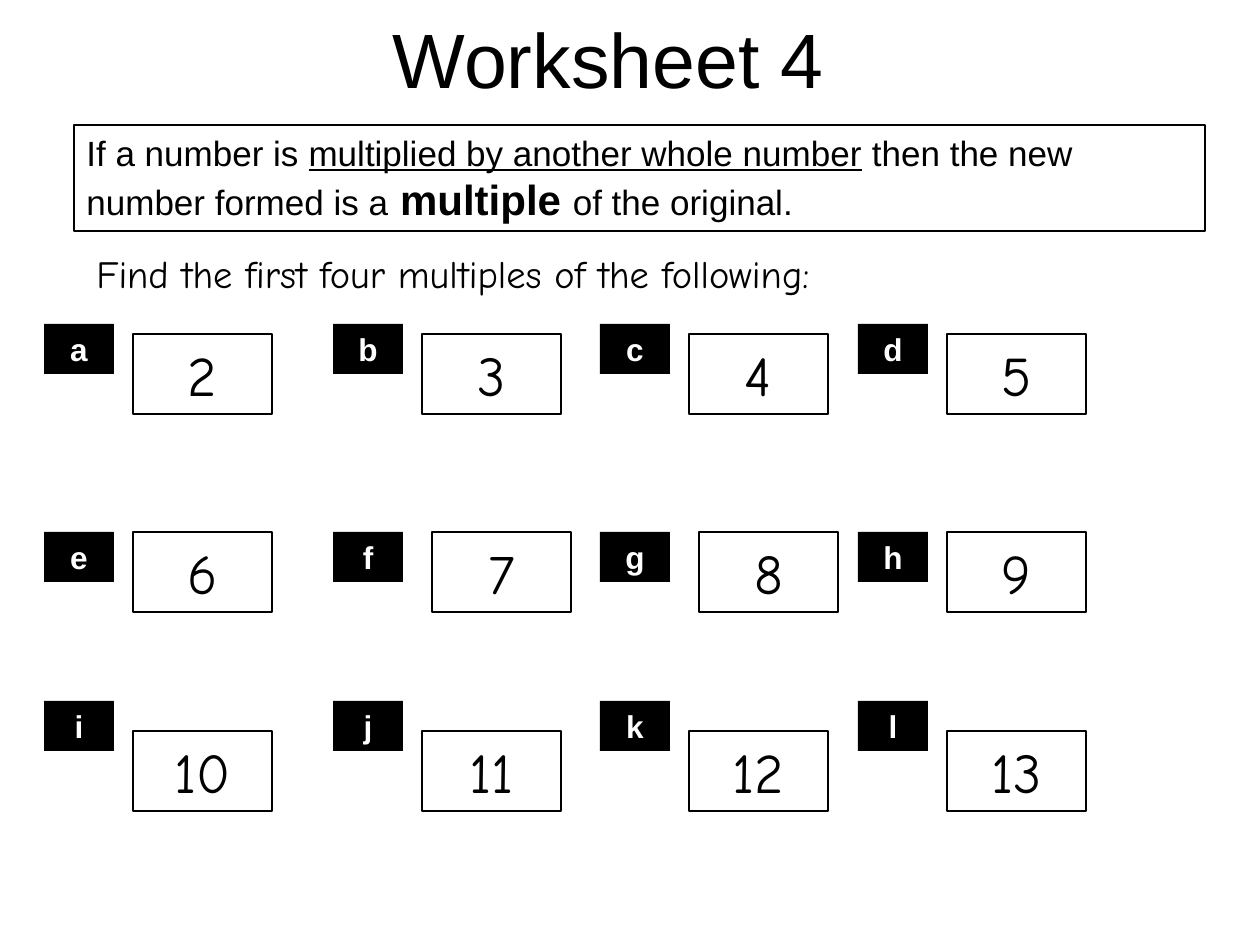
from dataclasses import dataclass

from pptx import Presentation
from pptx.dml.color import RGBColor
from pptx.enum.shapes import MSO_SHAPE
from pptx.enum.text import MSO_ANCHOR, PP_ALIGN
from pptx.util import Emu, Pt

PX_PER_INCH = 126


@dataclass(frozen=True)
class Theme:
    ink: RGBColor = RGBColor(0, 0, 0)
    paper: RGBColor = RGBColor(255, 255, 255)
    plain_font: str = "Arial"
    hand_font: str = "Comic Neue"
    title_size: int = 44
    number_size: int = 32
    term_size: int = 24
    task_size: int = 22
    rule_size: int = 20
    letter_size: int = 18
    outline: float = 0.75


THEME = Theme()

LETTERS = "abcdefghijkl"
COLUMNS = (44, 333, 600, 858)
ROWS = ((324, 334), (532, 532), (701, 731))  # tops of tag and number box
NUMBER_OFFSET = 89
NUDGE = {"f": 10, "g": 10}  # number boxes set further right
FIRST_NUMBER = 2


def px(length):
    return Emu(round(length * 914400 / PX_PER_INCH))


def add_span(para, text, size, font=THEME.plain_font, color=THEME.ink,
             bold=False, underline=False):
    span = para.add_run()
    span.text = text
    span.font.size = Pt(size)
    span.font.name = font
    span.font.color.rgb = color
    span.font.bold = bold
    span.font.underline = underline


def add_box(page, left, top, width, height, fill=None, outlined=False,
            align=PP_ALIGN.LEFT):
    """Add a rectangle and return its first paragraph."""
    box = page.shapes.add_shape(MSO_SHAPE.RECTANGLE, px(left), px(top),
                                px(width), px(height))
    box.shadow.inherit = False
    if fill is None:
        box.fill.background()
    else:
        box.fill.solid()
        box.fill.fore_color.rgb = fill
    if outlined:
        box.line.color.rgb = THEME.ink
        box.line.width = Pt(THEME.outline)
    else:
        box.line.fill.background()
    box.text_frame.word_wrap = True
    box.text_frame.vertical_anchor = MSO_ANCHOR.TOP
    para = box.text_frame.paragraphs[0]
    para.alignment = align
    return para


def add_title(page, text):
    box = page.shapes.add_textbox(px(73), px(-44), px(1071), px(203))
    box.text_frame.word_wrap = True
    box.text_frame.vertical_anchor = MSO_ANCHOR.MIDDLE
    para = box.text_frame.paragraphs[0]
    para.alignment = PP_ALIGN.CENTER
    add_span(para, text, THEME.title_size)


def add_definition(page):
    para = add_box(page, 74, 125, 1131, 106, THEME.paper, outlined=True)
    add_span(para, "If a number is ", THEME.rule_size)
    add_span(para, "multiplied by another whole number", THEME.rule_size,
             underline=True)
    add_span(para, " then the new number formed is a", THEME.rule_size)
    add_span(para, " ", THEME.term_size)
    add_span(para, "multiple ", THEME.term_size, bold=True)
    add_span(para, "of the original.", THEME.rule_size)


def add_task(page, text):
    para = add_box(page, 84, 244, 959, 59, THEME.paper)
    add_span(para, text, THEME.task_size, THEME.hand_font)


def add_question(page, index, letter):
    row, column = divmod(index, len(COLUMNS))
    left = COLUMNS[column]
    tag_top, number_top = ROWS[row]
    number_left = left + NUMBER_OFFSET + NUDGE.get(letter, 0)

    number = add_box(page, number_left, number_top, 139, 80, outlined=True,
                     align=PP_ALIGN.CENTER)
    add_span(number, str(FIRST_NUMBER + index), THEME.number_size,
             THEME.hand_font)
    tag = add_box(page, left, tag_top, 70, 50, THEME.ink,
                  align=PP_ALIGN.CENTER)
    add_span(tag, letter, THEME.letter_size, color=THEME.paper, bold=True)


def main():
    deck = Presentation()
    deck.slide_width, deck.slide_height = px(1260), px(945)
    page = deck.slides.add_slide(deck.slide_layouts[6])

    # Heading, definition and task
    add_title(page, "Worksheet 4")
    add_definition(page)
    add_task(page, "Find the first four multiples of the following:")

    # Grid of lettered questions
    for index, letter in enumerate(LETTERS):
        add_question(page, index, letter)

    deck.save("out.pptx")


if __name__ == "__main__":
    main()
